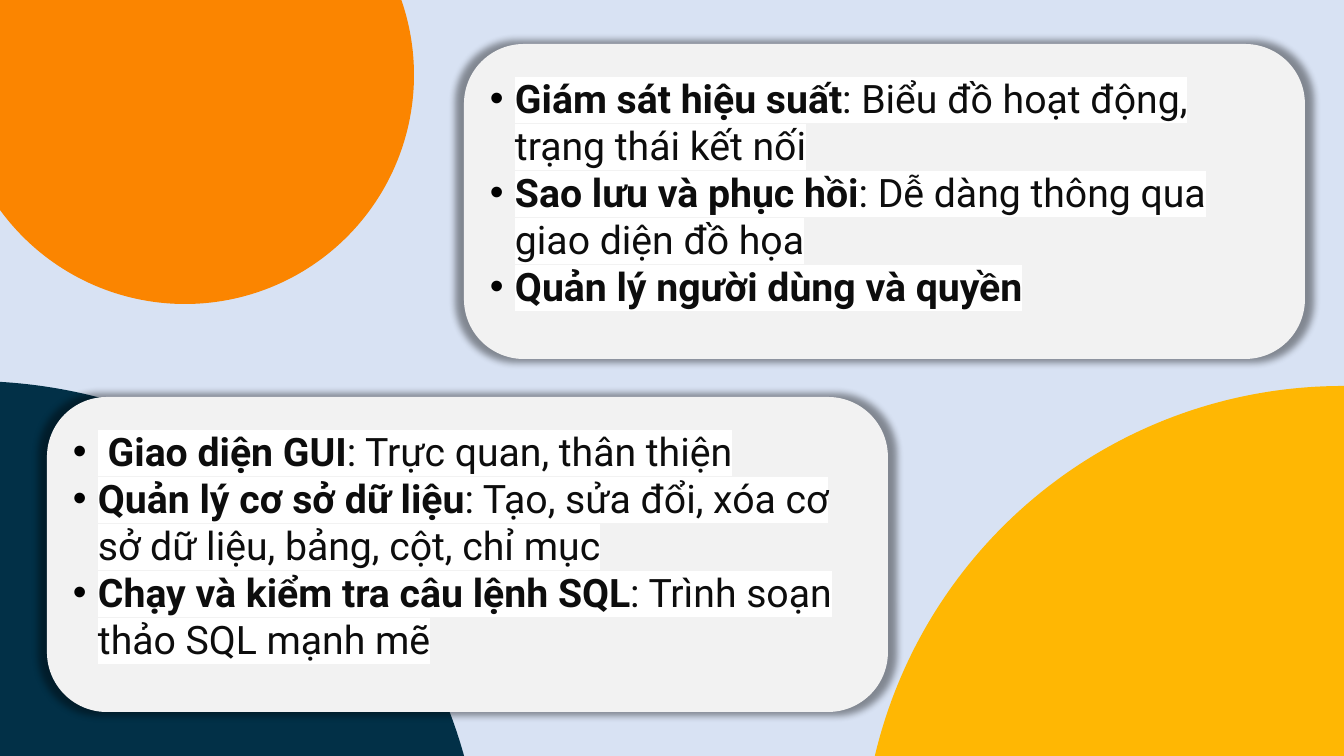
from lxml import etree
from pptx import Presentation
from pptx import util as u
from pptx.dml.color import RGBColor
from pptx.enum import shapes, text
from pptx.oxml import ns

PX = 914400 / 100.8
COLORS = {
    "sky": "D8E2F3",
    "navy": "023047",
    "orange": "FB8500",
    "amber": "FFB703",
    "card": "F2F2F2",
    "ink": "0D0D0D",
    "black": "000000",
    "white": "FFFFFF",
}
CARD_WIDTH, CARD_HEIGHT = 841, 315


def px(*lengths):
    return [u.Emu(round(length * PX)) for length in lengths]


def add_filled(preset, box, color):
    figure = slide.shapes.add_shape(preset, *px(*box))
    figure.shadow.inherit = False
    figure.fill.solid()
    figure.fill.fore_color.rgb = RGBColor.from_string(COLORS[color])
    figure.line.fill.background()
    return figure


deck = Presentation()
deck.slide_width, deck.slide_height = px(1344, 756)
slide = deck.slides.add_slide(deck.slide_layouts[3])
slide.background.fill.solid()
slide.background.fill.fore_color.rgb = RGBColor.from_string(COLORS["sky"])
heading = slide.shapes.title.element
heading.getparent().remove(heading)

circles = [
    (-543, 381, 1026, "navy"),
    (-44, -154, 458, "orange"),
    (862, 386, 961, "amber"),
]
for left, top, diameter, color in circles:
    add_filled(shapes.MSO_SHAPE.OVAL, (left, top, diameter, diameter), color)

features = [
    (1, 464, 44, [
        ("Giám sát hiệu suất", ": Biểu đồ hoạt động, trạng thái kết nối"),
        ("Sao lưu và phục hồi", ": Dễ dàng thông qua giao diện đồ họa"),
        ("Quản lý người dùng và quyền", ""),
    ]),
    (2, 47, 397, [
        (" Giao diện GUI", ": Trực quan, thân thiện"),
        ("Quản lý cơ sở dữ liệu", ": Tạo, sửa đổi, xóa cơ sở dữ liệu, bảng, cột, chỉ mục"),
        ("Chạy và kiểm tra câu lệnh SQL", ": Trình soạn thảo SQL mạnh mẽ"),
    ]),
]
margin_x, margin_top, margin_bottom, indent = px(26, 30, 5, 25)
frame_format = {
    "margin_left": margin_x,
    "margin_right": margin_x,
    "margin_top": margin_top,
    "margin_bottom": margin_bottom,
    "word_wrap": True,
    "auto_size": text.MSO_AUTO_SIZE.NONE,
    "vertical_anchor": text.MSO_ANCHOR.TOP,
}
item_format = {
    "alignment": text.PP_ALIGN.LEFT,
    "line_spacing": 1.0,
    "space_before": u.Pt(0),
    "space_after": u.Pt(0),
}
font_format = {"name": "Roboto", "size": u.Pt(28)}

for index, left, top, items in features:
    box = (left, top, CARD_WIDTH, CARD_HEIGHT)
    card = add_filled(shapes.MSO_SHAPE.ROUNDED_RECTANGLE, box, "card")
    card.adjustments[0] = 0.19
    effects = card.element.spPr.find(ns.qn("a:effectLst"))
    glow = etree.SubElement(effects, ns.qn("a:outerShdw"), blurRad=str(u.Pt(5)),
                            sx="102000", sy="102000", algn="ctr", rotWithShape="0")
    shade = etree.SubElement(glow, ns.qn("a:srgbClr"), val=COLORS["black"])
    etree.SubElement(shade, ns.qn("a:alpha"), val="40000")

    feature_list = slide.placeholders[index]
    slide.shapes.element.append(feature_list.element)
    for side, length in zip(("left", "top", "width", "height"), px(*box)):
        setattr(feature_list, side, length)
    frame = feature_list.text_frame
    for key, value in frame_format.items():
        setattr(frame, key, value)

    for number, (term, detail) in enumerate(items):
        item = frame.add_paragraph() if number else frame.paragraphs[0]
        for key, value in item_format.items():
            setattr(item, key, value)
        props = item._p.get_or_add_pPr()
        props.set("marL", str(indent))
        props.set("indent", str(-indent))
        bullet_color = etree.SubElement(props, ns.qn("a:buClr"))
        etree.SubElement(bullet_color, ns.qn("a:srgbClr"), val=COLORS["black"])
        etree.SubElement(props, ns.qn("a:buFont"), typeface="Arial")
        etree.SubElement(props, ns.qn("a:buChar"), char="•")
        for words, bold in ((term, True), (detail, False)):
            if not words:
                continue
            run = item.add_run()
            run.text = words
            for key, value in font_format.items():
                setattr(run.font, key, value)
            run.font.bold = bold
            run.font.color.rgb = RGBColor.from_string(COLORS["ink"])
            highlight = etree.Element(ns.qn("a:highlight"))
            etree.SubElement(highlight, ns.qn("a:srgbClr"), val=COLORS["white"])
            run.font._element.find(ns.qn("a:solidFill")).addnext(highlight)

deck.save("out.pptx")
